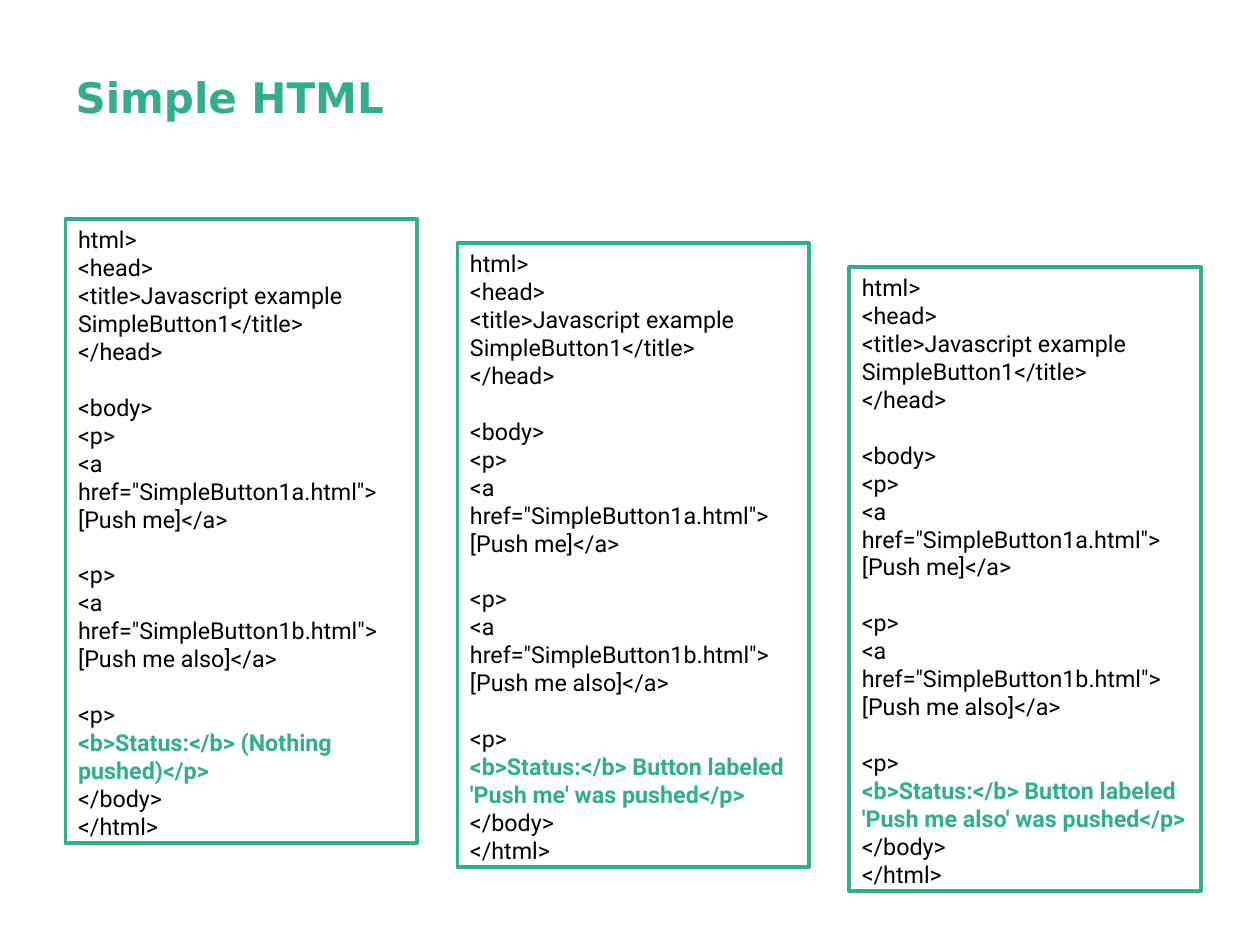
from dataclasses import dataclass

from lxml import etree
from pptx import Presentation
from pptx.dml.color import RGBColor
from pptx.enum.text import MSO_ANCHOR, MSO_AUTO_SIZE, PP_ALIGN
from pptx.oxml.ns import qn
from pptx.util import Inches, Pt

TOP, MIDDLE = MSO_ANCHOR.TOP, MSO_ANCHOR.MIDDLE
LEFT = PP_ALIGN.LEFT
NO_FIT = MSO_AUTO_SIZE.NONE
COMPARISON_LAYOUT = 4


@dataclass(frozen=True)
class Theme:
    accent: RGBColor = RGBColor(0x31, 0xAE, 0x8D)
    ink: RGBColor = RGBColor(0, 0, 0)
    title_font: str = "DejaVu Sans"
    code_font: str = "Roboto"
    title_size: Pt = Pt(24)
    code_size: Pt = Pt(13.3)
    code_line: Pt = Pt(15.95)
    border: Pt = Pt(2)


THEME = Theme()

STATUSES = [
    "(Nothing pushed)",
    "Button labeled 'Push me' was pushed",
    "Button labeled 'Push me also' was pushed",
]


def code_blocks(status_line):
    return [
        ["html>", "<head>",
         "<title>Javascript example \nSimpleButton1</title>", "</head>"],
        ["<body>", "<p>", '<a href="SimpleButton1a.html">\n[Push me]</a>'],
        ["<p>", '<a href="SimpleButton1b.html">\n[Push me also]</a>'],
        ["<p>", status_line, "</body>", "</html>"],
    ]


def place(box, left, top, width, height):
    box.left, box.top = Inches(left), Inches(top)
    box.width, box.height = Inches(width), Inches(height)


def prepare_frame(box, anchor):
    frame = box.text_frame
    frame.word_wrap = True
    frame.auto_size = NO_FIT
    frame.vertical_anchor = anchor
    frame.margin_left = frame.margin_right = Inches(0.1)
    frame.margin_top = frame.margin_bottom = Inches(0.05)
    return frame


def add_span(para, text, font, size, color, bold):
    span = para.add_run()
    span.text = text
    span.font.name = font
    span.font.size = size
    span.font.color.rgb = color
    span.font.bold = bold


def remove_bullet(para):
    properties = para._p.get_or_add_pPr()
    properties.set("marL", "0")
    properties.set("indent", "0")
    etree.SubElement(properties, qn("a:buNone"))


def add_code_line(para, text, gap, highlighted):
    remove_bullet(para)
    para.alignment = LEFT
    para.line_spacing = THEME.code_line
    para.space_before = gap
    para.space_after = Pt(0)
    para.font.size = THEME.code_size
    color = THEME.accent if highlighted else THEME.ink
    for index, part in enumerate(text.split("\n")):
        if index:
            para.add_line_break()
        add_span(para, part, THEME.code_font, THEME.code_size, color, highlighted)


def fill_title(title):
    place(title, 0.5, 0.3, 9, 0.94)
    para = prepare_frame(title, MIDDLE).paragraphs[0]
    para.alignment = LEFT
    add_span(para, "Simple HTML", THEME.title_font, THEME.title_size,
             THEME.accent, True)


def fill_code_panel(box, column, status):
    place(box, 0.52 + 3.11 * column, 1.74 + 0.19 * column, 2.79, 4.95)
    box.line.color.rgb = THEME.accent
    box.line.width = THEME.border
    frame = prepare_frame(box, TOP)
    status_line = f"<b>Status:</b> {status}</p>"
    para = frame.paragraphs[0]
    for block_index, block in enumerate(code_blocks(status_line)):
        for line_index, text in enumerate(block):
            if block_index or line_index:
                para = frame.add_paragraph()
            starts_block = block_index and not line_index
            gap = THEME.code_line if starts_block else Pt(0)
            add_code_line(para, text, gap, text == status_line)


def main():
    deck = Presentation()
    deck.slide_width, deck.slide_height = Inches(10), Inches(7.5)
    page = deck.slides.add_slide(deck.slide_layouts[COMPARISON_LAYOUT])
    title, *panels, spare = page.placeholders
    fill_title(title)
    for column, (box, status) in enumerate(zip(panels, STATUSES)):
        fill_code_panel(box, column, status)
    spare.element.getparent().remove(spare.element)
    deck.save("out.pptx")


if __name__ == "__main__":
    main()
